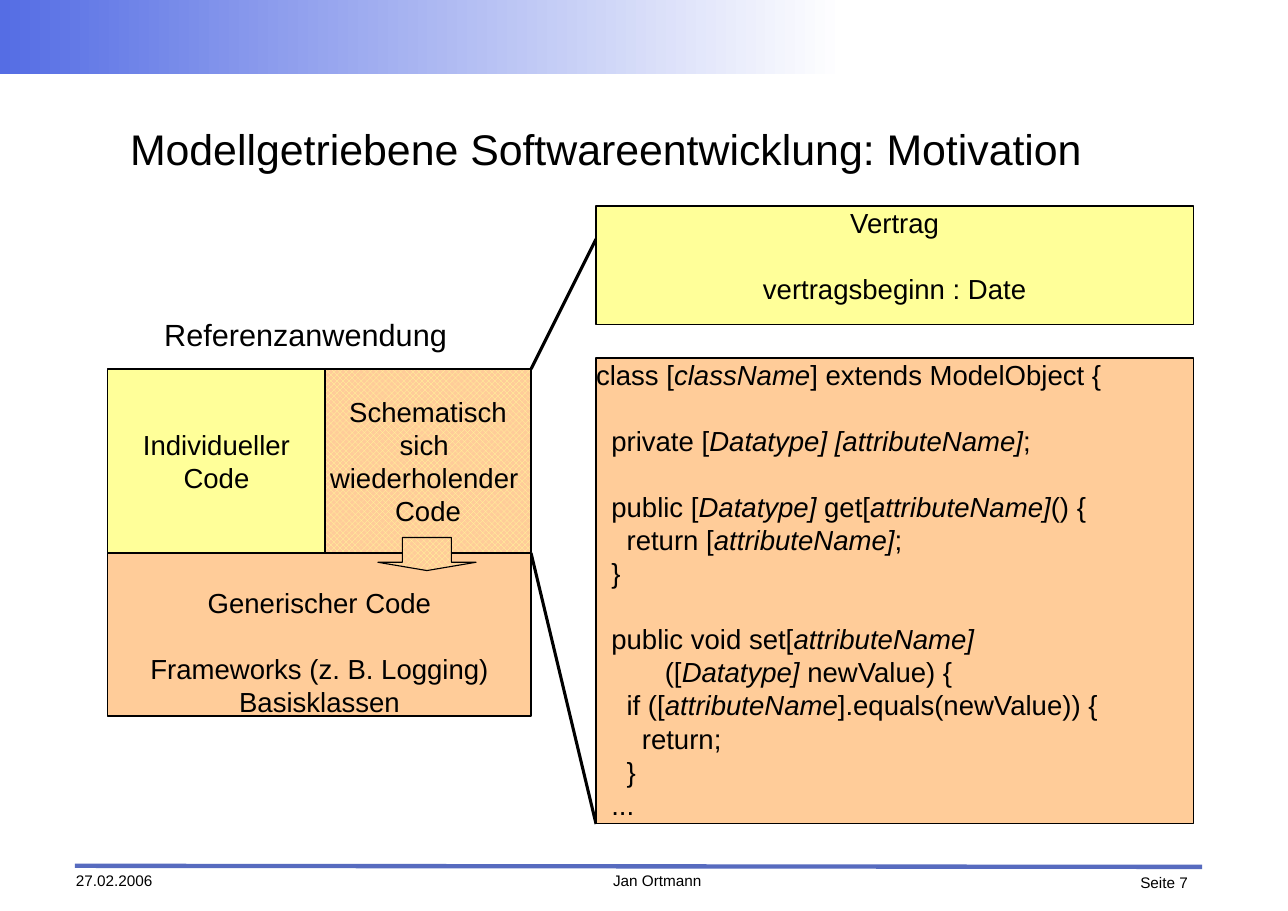
from dataclasses import dataclass

from lxml import etree
from pptx import Presentation
from pptx.dml.color import RGBColor
from pptx.enum.dml import MSO_PATTERN
from pptx.enum.shapes import MSO_CONNECTOR, MSO_SHAPE
from pptx.enum.text import MSO_ANCHOR, PP_ALIGN
from pptx.oxml.ns import qn
from pptx.shapes.autoshape import Shape
from pptx.slide import Slide
from pptx.text.text import TextFrame
from pptx.util import Pt

PX = 9144  # 100 px to the inch
BLACK = RGBColor(0x00, 0x00, 0x00)
WHITE = RGBColor(0xFF, 0xFF, 0xFF)
BLUE = RGBColor(0x55, 0x6D, 0xE4)
RULE_BLUE = RGBColor(0x57, 0x6B, 0xBF)
YELLOW = RGBColor(0xFF, 0xFF, 0x99)
ORANGE = RGBColor(0xFF, 0xCC, 0x99)

LEFT, CENTER, RIGHT = PP_ALIGN.LEFT, PP_ALIGN.CENTER, PP_ALIGN.RIGHT
TOP, MIDDLE = MSO_ANCHOR.TOP, MSO_ANCHOR.MIDDLE
RECTANGLE, DOWN_ARROW = MSO_SHAPE.RECTANGLE, MSO_SHAPE.DOWN_ARROW
STRAIGHT, OPEN_DIAMOND = MSO_CONNECTOR.STRAIGHT, MSO_PATTERN.OUTLINED_DIAMOND

LINE_HEIGHT = Pt(21.6)
ITALIC_MARK = "~"


@dataclass(frozen=True)
class Area:
    left: int
    top: int
    width: int
    height: int

    def emu(self) -> list[int]:
        return [value * PX for value in (self.left, self.top, self.width, self.height)]


@dataclass(frozen=True)
class Box:
    area: Area
    fill: RGBColor | None  # None gives the diamond pattern
    text: str = ""
    align: PP_ALIGN = CENTER
    anchor: MSO_ANCHOR = TOP
    inset_top: int = 0
    geometry: MSO_SHAPE = RECTANGLE


@dataclass(frozen=True)
class Label:
    area: Area
    text: str
    size: int
    align: PP_ALIGN = LEFT


@dataclass(frozen=True)
class Line:
    start: tuple[int, int]
    end: tuple[int, int]
    color: RGBColor = BLACK
    weight: float = 0


TEMPLATE_CODE = """class [~className~] extends ModelObject {

  private [~Datatype] [attributeName]~;

  public [~Datatype]~ get[~attributeName]~() {
    return [~attributeName]~;
  }

  public void set[~attributeName]~
         ([~Datatype]~ newValue) {
    if ([~attributeName~].equals(newValue)) {
      return;
    }
  ..."""

BOXES = [
    Box(Area(541, 325, 542, 423), ORANGE, TEMPLATE_CODE, LEFT),
    Box(Area(98, 502, 384, 148), ORANGE,
        "Generischer Code\n\nFrameworks (z. B. Logging)\nBasisklassen", inset_top=30),
    Box(Area(98, 335, 197, 167), YELLOW, "Individueller\nCode", anchor=MIDDLE),
    Box(Area(295, 335, 187, 167), None,
        "Schematisch\nsich \nwiederholender \nCode", anchor=MIDDLE),
    Box(Area(343, 488, 89, 30), None, geometry=DOWN_ARROW),
    Box(Area(541, 187, 542, 108), YELLOW, "Vertrag\n\nvertragsbeginn : Date"),
]
LABELS = [
    Label(Area(149, 287, 270, 31), "Referenzanwendung", 20),
    Label(Area(69, 791, 117, 20), "27.02.2006", 10),
    Label(Area(516, 791, 161, 20), "Jan Ortmann", 10, CENTER),
    Label(Area(1000, 793, 78, 19), "Seite 7", 10, RIGHT),
]
LINES = [
    Line((68, 786), (1091, 787), RULE_BLUE, 2.83),
    Line((482, 335), (541, 217)),
    Line((482, 502), (541, 748)),
]


def format_frame(frame: TextFrame, anchor: MSO_ANCHOR, inset_top: int = 0) -> None:
    values = {"word_wrap": True, "vertical_anchor": anchor, "margin_left": 0,
              "margin_right": 0, "margin_top": inset_top * PX, "margin_bottom": 0}
    for name, value in values.items():
        setattr(frame, name, value)


def write_text(frame: TextFrame, text: str, size: int, align: PP_ALIGN) -> None:
    """Blank lines become space before; marks switch italics on and off."""
    paragraph, blank_lines = None, 0
    for line in text.split("\n"):
        if not line:
            blank_lines += 1
            continue
        paragraph = frame.add_paragraph() if paragraph else frame.paragraphs[0]
        paragraph.alignment = align
        if size == 18:
            paragraph.line_spacing = LINE_HEIGHT
        if blank_lines:
            paragraph.space_before = LINE_HEIGHT * blank_lines
        blank_lines = 0
        for index, part in enumerate(line.split(ITALIC_MARK)):
            if not part:
                continue
            run = paragraph.add_run()
            run.text = part
            values = {"name": "Arial", "size": Pt(size), "italic": index % 2 == 1}
            for name, value in values.items():
                setattr(run.font, name, value)
            run.font.color.rgb = BLACK


def add_plain_shape(slide: Slide, geometry: MSO_SHAPE, area: Area) -> Shape:
    shape = slide.shapes.add_shape(geometry, *area.emu())
    shape.shadow.inherit = False
    return shape


def add_banner(slide: Slide) -> None:
    shape = add_plain_shape(slide, RECTANGLE, Area(0, 0, 767, 67))
    shape.line.fill.background()
    shape.fill.gradient()
    shape.fill.gradient_angle = 0
    for stop, position, color in zip(shape.fill.gradient_stops, (0, 1), (BLUE, WHITE)):
        stop.position = position
        stop.color.rgb = color


def add_box(slide: Slide, box: Box) -> None:
    shape = add_plain_shape(slide, box.geometry, box.area)
    if box.geometry == DOWN_ARROW:
        shape.adjustments[0], shape.adjustments[1] = 0.5, 0.25
    if box.fill is None:
        shape.fill.patterned()
        shape.fill.pattern = OPEN_DIAMOND
        shape.fill.fore_color.rgb = YELLOW
        shape.fill.back_color.rgb = ORANGE
    else:
        shape.fill.solid()
        shape.fill.fore_color.rgb = box.fill
    shape.line.color.rgb = BLACK
    shape.line.width = 0
    if box.text:
        format_frame(shape.text_frame, box.anchor, box.inset_top)
        write_text(shape.text_frame, box.text, 18, box.align)


def add_label(slide: Slide, label: Label) -> None:
    frame = slide.shapes.add_textbox(*label.area.emu()).text_frame
    format_frame(frame, TOP)
    write_text(frame, label.text, label.size, label.align)


def add_line(slide: Slide, line: Line) -> None:
    ends = [value * PX for value in line.start + line.end]
    connector = slide.shapes.add_connector(STRAIGHT, *ends)
    connector.line.color.rgb = line.color
    connector.line.width = Pt(line.weight)
    etree.SubElement(connector._element.spPr, qn("a:effectLst"))


def set_title(slide: Slide) -> None:
    title = slide.shapes.title
    title.left, title.top, title.width, title.height = Area(118, 91, 931, 87).emu()
    format_frame(title.text_frame, MIDDLE)
    write_text(title.text_frame, "Modellgetriebene Softwareentwicklung: Motivation", 28, LEFT)


def main() -> None:
    presentation = Presentation()
    presentation.slide_width, presentation.slide_height = 1169 * PX, 827 * PX
    slide = presentation.slides.add_slide(presentation.slide_layouts[5])
    set_title(slide)
    add_banner(slide)
    for line in LINES:
        add_line(slide, line)
    for box in BOXES:
        add_box(slide, box)
    for label in LABELS:
        add_label(slide, label)
    presentation.save("out.pptx")


if __name__ == "__main__":
    main()
